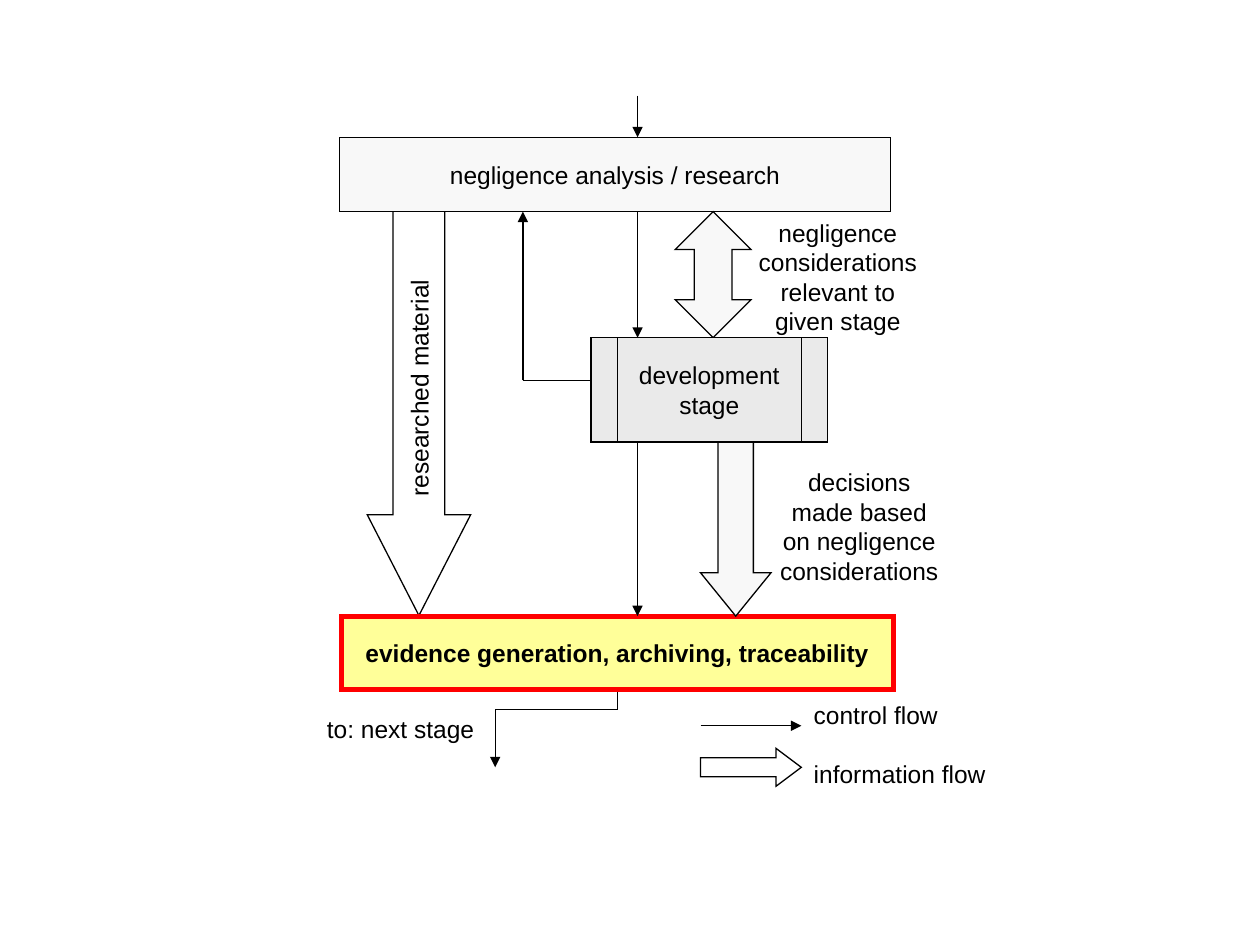
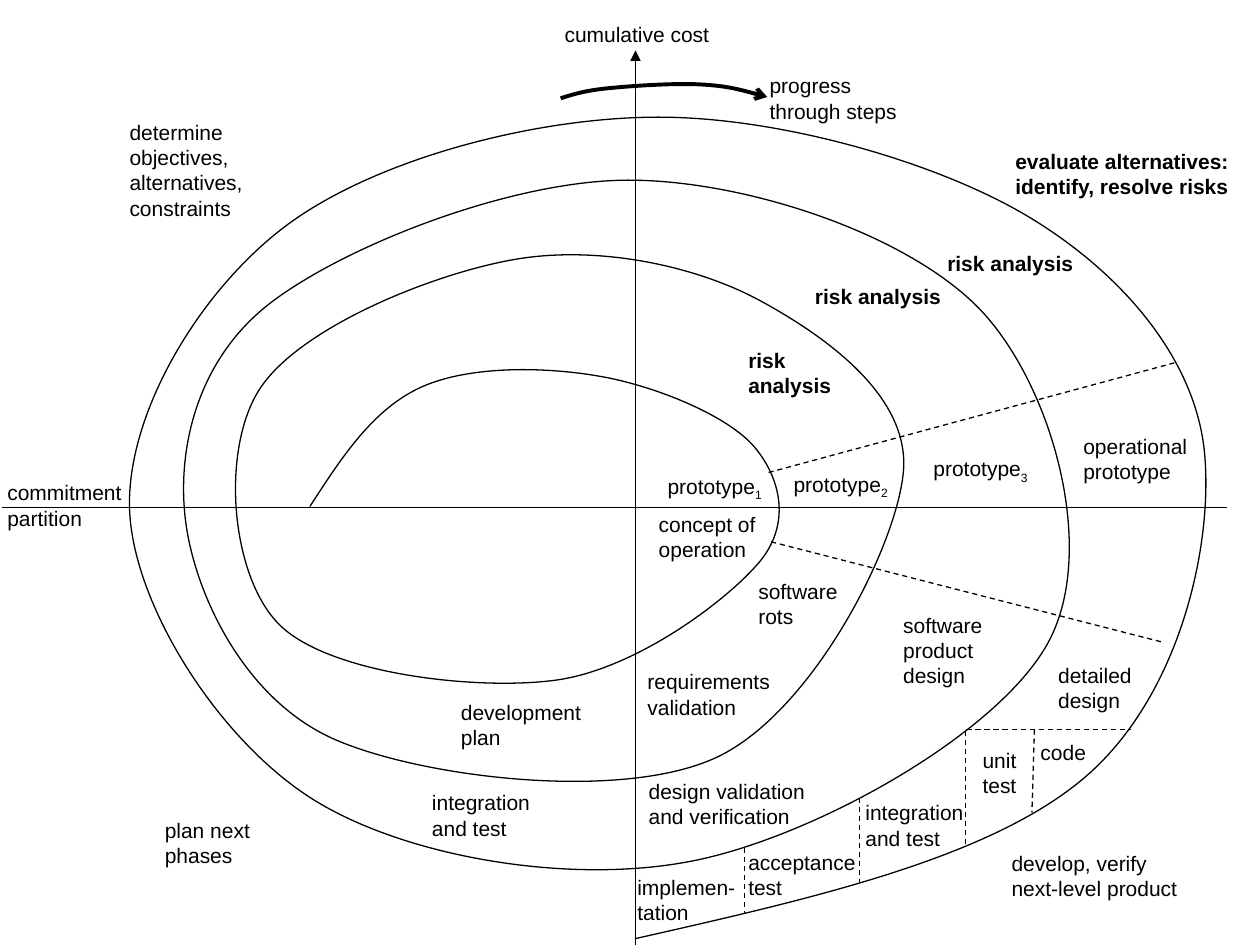
from dataclasses import dataclass
from typing import Any

from lxml.etree import SubElement
from pptx import Presentation
from pptx.dml.color import RGBColor
from pptx.enum.dml import MSO_LINE
from pptx.enum.shapes import MSO_CONNECTOR as CONN, MSO_SHAPE as SHAPE
from pptx.enum.text import MSO_ANCHOR, MSO_AUTO_SIZE, PP_ALIGN
from pptx.oxml.ns import qn
from pptx.util import Inches, Pt

FONT, INK, PAPER = "Arial", "000000", "FFFFFF"
PALE, GREY, YELLOW, RED = "F8F8F8", "EAEAEA", "FFFF99", "FF0000"
SLIDE_W, SLIDE_H = 10, 7.5
CELL = SLIDE_W / 100
LEFT, CENTER = PP_ALIGN.LEFT, PP_ALIGN.CENTER


def rgb(value):
    """Turn a hex string into a colour."""
    return RGBColor.from_string(value)


def style_line(line, color=INK, width=0.75, dashed=False, head=None):
    """Set colour, width, dash, sharp corners and end arrowhead of a line."""
    line.fill.solid()
    line.fill.fore_color.rgb = rgb(color)
    line.width = Pt(width)
    if dashed:
        line.dash_style = MSO_LINE.DASH
    ln = line._get_or_add_ln()
    SubElement(ln, qn("a:miter"), lim="800000")
    if head:
        SubElement(ln, qn("a:tailEnd"), type=head)


def write(tf, text, size, bold=False, align=LEFT, gap=0):
    """Write paragraphs, each a string or a (text, subscript) pair."""
    for i, part in enumerate(text if isinstance(text, list) else [text]):
        p = tf.paragraphs[0] if i == 0 else tf.add_paragraph()
        main, sub = part if isinstance(part, tuple) else (part, None)
        for n, line in enumerate(main.split("\n")):
            if n:
                p.add_line_break()
            p.add_run().text = line
        if sub:
            r = p.add_run()
            r.text = sub
            r._r.get_or_add_rPr().set("baseline", "-25000")
        p.alignment = align
        if i:
            p.space_before = Pt(gap)
        font = p.font
        font.name, font.size, font.bold = FONT, Pt(size), bold
        font.color.rgb = rgb(INK)


def bezier_controls(points):
    """Return the two control points of each span of a smooth curve."""
    spans = []
    last = len(points) - 2
    for i in range(last + 1):
        a, b = points[i], points[i + 1]
        first = second = None
        if i > 0:
            first = [q + (n - m) / 6 for m, q, n in zip(points[i - 1], a, b)]
        if i < last:
            second = [q - (n - m) / 6 for m, q, n in zip(a, b, points[i + 2])]
        first = first or [(m + n) / 2 for m, n in zip(a, second)]
        second = second or [(m + n) / 2 for m, n in zip(b, first)]
        spans.append((first, second))
    return spans


@dataclass
class Panel:
    """A region of a slide, measured in grid cells from its corner."""
    shapes: Any
    left: float = 0
    top: float = 0

    def point(self, x, y):
        """Place a grid point on the slide."""
        return Inches((self.left + x) * CELL), Inches((self.top + y) * CELL)

    def frame(self, x, y, w, h):
        """Place a grid box on the slide."""
        return *self.point(x, y), Inches(w * CELL), Inches(h * CELL)

    def shape(self, kind, box, fill, text=None, adj=(), line=INK, width=0.75, bold=False):
        """Add a filled, outlined preset shape."""
        s = self.shapes.add_shape(kind, *self.frame(*box))
        s.shadow.inherit = False
        s.fill.solid()
        s.fill.fore_color.rgb = rgb(fill)
        style_line(s.line, line, width)
        for i, value in enumerate(adj):
            s.adjustments[i] = value
        if text:
            tf = s.text_frame
            tf.word_wrap = False
            tf.vertical_anchor = MSO_ANCHOR.MIDDLE
            write(tf, text, 14, bold, CENTER)
        return s

    def label(self, box, text, size, wrap=True, **style):
        """Add a text box."""
        tf = self.shapes.add_textbox(*self.frame(*box)).text_frame
        tf.word_wrap = wrap
        tf.auto_size = MSO_AUTO_SIZE.SHAPE_TO_FIT_TEXT
        write(tf, text, size, **style)

    def line(self, start, end, kind=CONN.STRAIGHT, **style):
        """Add a connector between two grid points."""
        s = self.shapes.add_connector(kind, *self.point(*start), *self.point(*end))
        style_line(s.line, **style)
        SubElement(s._element.spPr, qn("a:effectLst"))
        return s

    def drop(self, start, end, bend, **style):
        """Add an elbow that runs down, left and down again."""
        (x1, y1), (x2, y2) = start, end
        cx, cy = (x1 + x2) / 2, (y1 + y2) / 2
        dx, dy = (y2 - y1) / 2, (x1 - x2) / 2
        s = self.line((cx - dx, cy - dy), (cx + dx, cy + dy), CONN.ELBOW, **style)
        s._element.spPr.find(qn("a:xfrm")).set("rot", "5400000")
        guides = s._element.spPr.find(qn("a:prstGeom")).find(qn("a:avLst"))
        SubElement(guides, qn("a:gd"), name="adj1", fmla=f"val {round(bend * 100000)}")

    def curve(self, knots, **style):
        """Add a smooth open curve through grid points."""
        points = [self.point(*k) for k in knots]
        builder = self.shapes.build_freeform(*points[0])
        builder.add_line_segments(points[1:], close=False)
        s = builder.convert_to_shape()
        s.shadow.inherit = False
        s.fill.background()
        style_line(s.line, **style)
        spans = list(s._element.iter(qn("a:lnTo")))
        for span, controls in zip(spans, bezier_controls(points)):
            span.tag = qn("a:cubicBezTo")
            for i, (x, y) in enumerate(controls):
                pt = SubElement(span, qn("a:pt"), x=str(round(x - s.left)), y=str(round(y - s.top)))
                span.insert(i, pt)


def draw_process(panel):
    """Draw the research, development and evidence boxes with their flows."""
    research = panel.shape(SHAPE.LEFT_ARROW, (-6.8, 21.7, 32.1, 8.2), PAPER,
                           "researched material", (0.5, 0.975))
    research.rotation = 270
    panel.shape(SHAPE.RECTANGLE, (2.94, 3.92, 43.76, 5.86), PALE, "negligence analysis / research")
    panel.shape(SHAPE.UP_DOWN_ARROW, (29.6, 9.8, 6, 10), PALE, adj=(0.33, 0.5))
    panel.label((35, 9.8, 15, 10.3), "negligence considerations relevant to given stage",
                14, align=CENTER)
    panel.shape(SHAPE.RECTANGLE, (3.1, 41.9, 43.8, 5.8), YELLOW,
                "evidence generation, archiving, traceability", line=RED, width=3, bold=True)
    panel.label((36.7, 29.6, 15, 10.3), "decisions made based on negligence considerations",
                14, align=CENTER)
    panel.shape(SHAPE.DOWN_ARROW, (31.6, 28.1, 5.6, 13.8), PALE, adj=(0.5, 0.615))
    panel.shape(SHAPE.RECTANGLE, (25, 19.8, 14.6, 8.3), GREY, "development\nstage")
    for x in (39.6, 22.9):
        panel.shape(SHAPE.RECTANGLE, (x, 19.8, 2.1, 8.3), GREY)
    for top, bottom in ((28.1, 41.9), (9.8, 19.8), (0.6, 3.9)):
        panel.line((26.6, top), (26.6, bottom), head="triangle")
    panel.line((17.5, 23.2), (17.5, 9.8), head="triangle")
    panel.line((17.5, 23.2), (22.9, 23.2))
    panel.drop((25, 47.9), (15.3, 53.9), 0.24, head="triangle")
    panel.label((0.3, 49.2, 15, 3.3), "to: next stage", 14, align=CENTER)


def draw_legend(panel):
    """Explain the two kinds of flow."""
    panel.line((0, 2.5), (8, 2.5), head="triangle")
    panel.label((8, 0, 15.7, 8), ["control flow", "information flow"], 14, wrap=False, gap=16.5)
    panel.shape(SHAPE.RIGHT_ARROW, (0, 4.3, 8, 3), PAPER, adj=(0.5, 0.666))


SPIRAL = [
    (24.6, 40.2), (33.5, 30.7), (47.8, 29.9), (59.9, 35.5), (60.2, 44.7), (44, 54),
    (22.2, 49.6), (20.6, 30.9), (40.8, 20.6), (60.4, 23.9), (71.7, 37.5), (56.9, 60.1),
    (26.6, 58.7), (14.8, 41.8), (21.4, 24.1), (50.3, 14.3), (78.1, 24.9), (83.3, 50.8),
    (55.6, 68.2), (25.1, 63.6), (10.3, 40.7), (22.6, 18), (51.8, 9.3), (81.8, 17.3),
    (95.6, 35.9), (86.1, 61.7), (50.4, 74.5),
]
PROGRESS = [(44.5, 7.8), (48.3, 7), (55.6, 6.7), (60.9, 7.7)]
DIVIDERS = [
    ((61, 37.5), (93.2, 28.8)), ((61.2, 43), (92.4, 51)), ((76.7, 57.9), (89.8, 57.9)),
    ((82.1, 57.9), (81.9, 64.5)), ((76.63, 58), (76.63, 67.1)),
    ((68.2, 63.3), (68.2, 70)), ((59.1, 67.3), (59.1, 72.5)),
]
TIGHT_LABELS = [
    ((62, 36.9, 9.5, 3.3), ("prototype", "2")),
    ((73.1, 35.7, 9.5, 3.3), ("prototype", "3")),
    ((85, 33.9, 10.3, 5), "operational\nprototype"),
    ((49.6, 68.9, 9.8, 5), "implemen-\ntation"),
    ((58.4, 66.9, 10.5, 5), "acceptance\ntest"),
    ((67.7, 63, 9.8, 5), "integration\nand test"),
    ((77, 58.8, 4.7, 5), "unit\ntest"),
    ((81.6, 58.2, 5.6, 3), "code"),
    ((83, 52.1, 8.4, 5), "detailed\ndesign"),
    ((70.7, 48.1, 8.4, 7), "software\nproduct\ndesign"),
    ((52, 37.1, 9.5, 3.3), ("prototype", "1")),
]
WRAPPED_LABELS = [
    ((50.5, 61.3, 15.1, 5), "design validation\nand verification"),
    ((50.4, 52.6, 12.2, 5), "requirements\nvalidation"),
    ((59.2, 45.4, 8.5, 5), "software\nrots"),
    ((51.3, 40.1, 10.7, 5), "concept of\noperation"),
    ((60.1, 5.3, 12.7, 5), "progress through steps"),
    ((35.6, 55, 12.2, 5), "development\nplan"),
    ((33.3, 62.2, 12.2, 5), "integration and test"),
    ((9.3, 9, 12.7, 9), "determine objectives, alternatives, constraints"),
    ((12.1, 64.4, 12.7, 5), "plan next phases"),
    ((79.3, 67, 15.5, 5), "develop, verify next-level product"),
    ((-0.4, 37.6, 11.9, 5), "commitment\npartition"),
]
RISK_LABELS = [
    ((58.4, 27.1, 9.1, 5), "risk\nanalysis"),
    ((63.7, 22, 12.7, 3), "risk analysis"),
    ((74.2, 19.4, 12.7, 3), "risk analysis"),
    ((79.6, 11.3, 20.4, 5), "evaluate alternatives: identify, resolve risks"),
]


def draw_spiral(panel):
    """Draw the axes, the spiral and the dashed step dividers."""
    panel.line((50.44, 75.3), (50.44, 4), head="triangle")
    panel.line((0.2, 40.3), (97.4, 40.3))
    panel.curve(SPIRAL)
    for start, end in DIVIDERS:
        panel.line(start, end, dashed=True)
    panel.curve(PROGRESS, width=2.25, head="arrow")


def label_spiral(panel):
    """Name the axes, quadrants and steps of the spiral."""
    for box, text in TIGHT_LABELS:
        panel.label(box, text, 12, wrap=False)
    for box, text in WRAPPED_LABELS:
        panel.label(box, text, 12)
    for box, text in RISK_LABELS:
        panel.label(box, text, 12, bold=True)
    panel.label((43.8, 1.2, 13.5, 3), "cumulative cost", 12, wrap=False, align=CENTER)


def main():
    """Build both slides and save them."""
    prs = Presentation()
    prs.slide_width, prs.slide_height = Inches(SLIDE_W), Inches(SLIDE_H)
    process, spiral = (prs.slides.add_slide(prs.slide_layouts[6]).shapes for _ in range(2))
    draw_process(Panel(process, 24, 7))
    draw_legend(Panel(process, 55.6, 55.1))
    whole = Panel(spiral)
    draw_spiral(whole)
    label_spiral(whole)
    prs.save("out.pptx")


if __name__ == "__main__":
    main()
